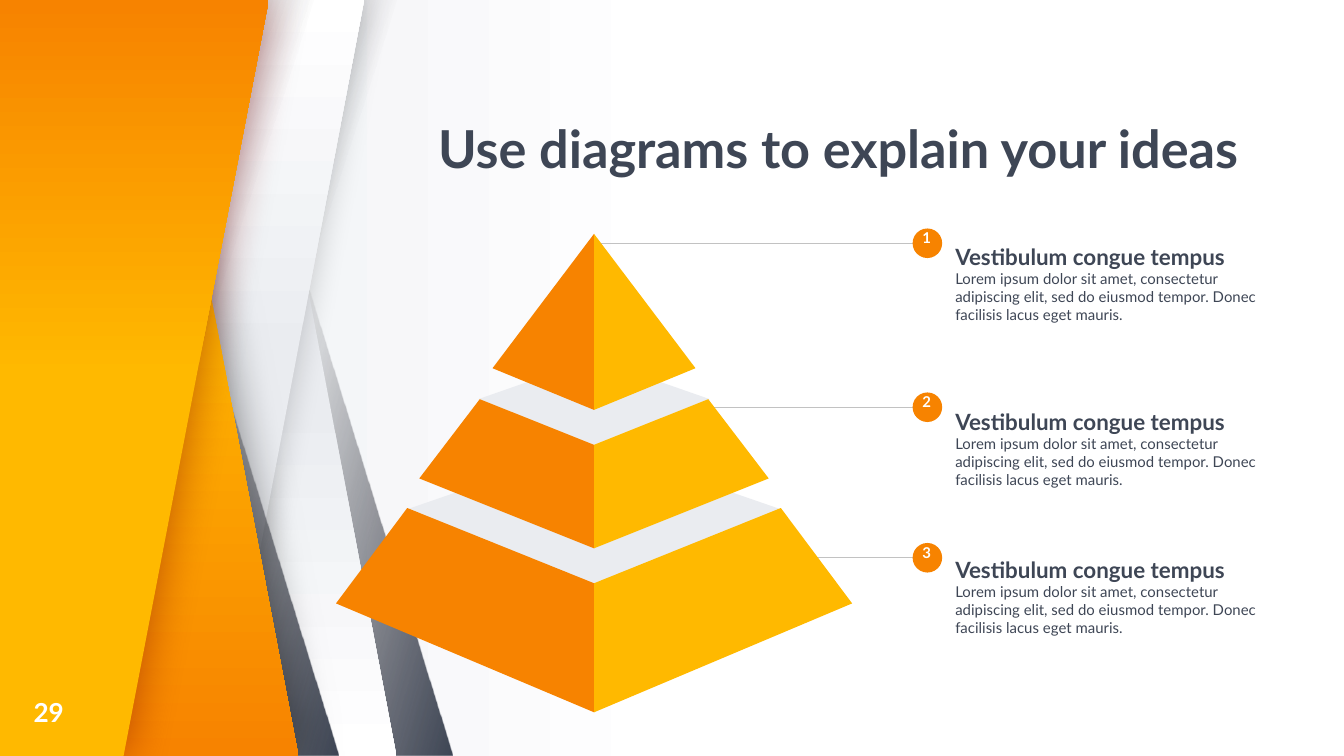
from lxml import etree
from pptx import Presentation
from pptx.dml.color import RGBColor
from pptx.enum.shapes import MSO_CONNECTOR, MSO_SHAPE
from pptx.enum.text import MSO_ANCHOR, PP_ALIGN
from pptx.oxml.ns import qn
from pptx.util import Emu, Inches, Pt

SLANT, DISC = MSO_SHAPE.PARALLELOGRAM, MSO_SHAPE.OVAL
LINE = MSO_CONNECTOR.STRAIGHT
TOP, MID, BASE = MSO_ANCHOR.TOP, MSO_ANCHOR.MIDDLE, MSO_ANCHOR.BOTTOM
LEFT, CENTER = PP_ALIGN.LEFT, PP_ALIGN.CENTER

WHITE = RGBColor(0xFF, 0xFF, 0xFF)
BLACK = RGBColor(0, 0, 0)
MAROON = RGBColor(0x7E, 0x08, 0x08)
SLATE = RGBColor(0x3E, 0x46, 0x55)
DARK = RGBColor(0x27, 0x25, 0x2C)
PALE = RGBColor(0xEA, 0xEC, 0xF0)
GREY = RGBColor(0xC2, 0xC2, 0xC2)
ORANGE = RGBColor(0xF7, 0x83, 0x00)
YELLOW = RGBColor(0xFF, 0xB9, 0x00)

FONT = "Lato"
WIDE, HIGH = Inches(10), Inches(5.625)
CELL = WIDE / 100   # the grid has 100 columns and 56.25 rows
ROWS = 56.25
AXIS = 44.2         # column of the pyramid's centre line
HEAD = "Vestibulum congue tempus"
BODY = ("Lorem ipsum dolor sit amet, consectetur adipiscing elit, "
        "sed do eiusmod tempor. Donec facilisis lacus eget mauris.")


def grid(*cells):
    return [Emu(round(c * CELL)) for c in cells]


def tint(node, color, alpha):
    clr = etree.SubElement(node, qn("a:srgbClr"), val=str(color))
    if alpha < 100:
        etree.SubElement(clr, qn("a:alpha"), val=str(alpha * 1000))


def blend(props, angle, *stops):
    """Swap the solid fill in props for a gradient of (place, colour, alpha)."""
    grad = etree.Element(qn("a:gradFill"), rotWithShape="1")
    items = etree.SubElement(grad, qn("a:gsLst"))
    for place, color, alpha in stops:
        stop = etree.SubElement(items, qn("a:gs"), pos=str(place * 1000))
        tint(stop, color, alpha)
    etree.SubElement(grad, qn("a:lin"), ang=str(angle * 60000), scaled="0")
    props.replace(props.find(qn("a:solidFill")), grad)


def shade(shape, color, alpha, blur):
    effects = shape._element.spPr.find(qn("a:effectLst"))
    glow = etree.SubElement(effects, qn("a:outerShdw"), blurRad=str(Pt(blur)),
                            dist="0", dir="0", algn="ctr", rotWithShape="0")
    tint(glow, color, alpha)


def plain(shape, color):
    shape.fill.solid()
    shape.fill.fore_color.rgb = color
    shape.line.fill.background()
    shape.shadow.inherit = False
    return shape


def band(slide, x, slant, flip, angle, *stops):
    shape = plain(slide.shapes.add_shape(SLANT, *grid(x, 0, 23, ROWS)), PALE)
    shape.adjustments[0] = slant
    if flip:
        shape._element.spPr.find(qn("a:xfrm")).set("flipH", "1")
    blend(shape._element.spPr, angle, *stops)
    return shape


def poly(slide, color, *points):
    first, *rest = [grid(*p) for p in points]
    pen = slide.shapes.build_freeform(*first, scale=1.0)
    pen.add_line_segments(rest, close=True)
    return plain(pen.convert_to_shape(), color)


def write(slide, box, anchor, inset, paras, align=LEFT):
    """Fill a text box with paragraphs of (words, size, colour, bold, after)."""
    frame = slide.shapes.add_textbox(*grid(*box)).text_frame
    frame.word_wrap = True
    frame.vertical_anchor = anchor
    frame.margin_left = frame.margin_right = Inches(inset)
    frame.margin_top = frame.margin_bottom = Inches(inset)
    for i, (words, size, color, bold, after) in enumerate(paras):
        para = frame.add_paragraph() if i else frame.paragraphs[0]
        para.alignment = align
        para.space_after = Pt(after)
        run = para.add_run()
        run.text = words
        run.font.name, run.font.size = FONT, Pt(size)
        run.font.bold, run.font.color.rgb = bold, color
    return frame


def side(slide):
    # Folded ribbons, from back to front
    fold = (44, DARK, 0), (100, SLATE, 100)
    paper = (53, PALE, 100), (100, WHITE, 100)
    band(slide, 10.7, 0.753, True, 164, *fold)
    band(slide, 6.5, 0.463, True, 90, *paper)
    band(slide, 6.5, 0.753, False, 198, *fold)
    shade(band(slide, 4.1, 0.463, False, 270, *paper), BLACK, 20, 16.9)
    band(slide, 2.2, 0.753, True, 164, *fold)
    back = poly(slide, YELLOW, (0, 0), (0, ROWS), (22.2, ROWS), (11.5, 0))
    blend(back._element.spPr, 90, (37, YELLOW, 100), (100, ORANGE, 100))
    shade(back, BLACK, 50, 24.7)
    band(slide, 0.3, 0.753, False, 198, *fold)
    front = poly(slide, YELLOW, (0, ROWS), (0, 0), (20, 0), (9.2, ROWS))
    blend(front._element.spPr, 270, (50, YELLOW, 100), (100, ORANGE, 100))
    shade(front, MAROON, 50, 24.7)


def note(slide, num, start, row, top):
    # Leader line, numbered disc and text
    line = slide.shapes.add_connector(LINE, *grid(start, row, 69.3, row))
    line.line.color.rgb, line.line.width = GREY, Pt(0.75)
    etree.SubElement(line._element.spPr, qn("a:effectLst"))
    write(slide, (70.1, top, 24.6, 15.1), MID, 0.1,
          [(HEAD, 12, SLATE, True, 0), (BODY, 8, SLATE, False, 16)])
    disc = grid(67.9, row - 1.1, 2.2, 2.2)
    plain(slide.shapes.add_shape(DISC, *disc), ORANGE)
    write(slide, (67.6, row - 1.75, 2.7, 3.4), TOP, 0.1,
          [(num, 8, WHITE, True, 16)], CENTER)


def tier(slide, lid, half):
    # Lid first, then one half on each side of the axis
    if lid:
        reach, edge, back, front = lid
        poly(slide, PALE, (AXIS - reach, edge), (AXIS, front),
             (AXIS + reach, edge), (AXIS, back))
    for sign, color in ((-1, ORANGE), (1, YELLOW)):
        poly(slide, color, *[(AXIS + sign * x, y) for x, y in half])


def main():
    deck = Presentation()
    deck.slide_width, deck.slide_height = WIDE, HIGH
    slide = deck.slides.add_slide(deck.slide_layouts[6])

    # Background
    slide.background.fill.solid()
    blend(slide._element.cSld.bg.bgPr, 180,
          (50, WHITE, 100), (100, PALE, 100))
    side(slide)

    # Title and slide number
    title = write(slide, (32.6, 9.1, 59.7, 4.3), BASE, 0,
                  [("Use diagrams to explain your ideas", 28, SLATE, True, 0)])
    title.paragraphs[0].line_spacing = 0.9
    write(slide, (2.5, 51.6, 4, 2.7), MID, 0, [("29", 14, WHITE, True, 0)])

    # Notes
    note(slide, "3", 57.4, 41.5, 36.8)
    note(slide, "2", 52.1, 30.3, 25.8)
    note(slide, "1", AXIS, 18.1, 13.5)

    # Pyramid, from the base up
    tier(slide, (13.9, 37.9, 33.1, 43.5),
         [(13.9, 37.8), (19.2, 44.9), (0, 53), (0, 43.4)])
    tier(slide, (8.6, 29.7, 26.7, 33.1),
         [(8.5, 29.7), (0, 33.1), (0, 40.8), (13, 35.6)])
    tier(slide, None, [(0, 17.4), (7.55, 27.4), (0, 30.5)])
    deck.save("out.pptx")


if __name__ == "__main__":
    main()
